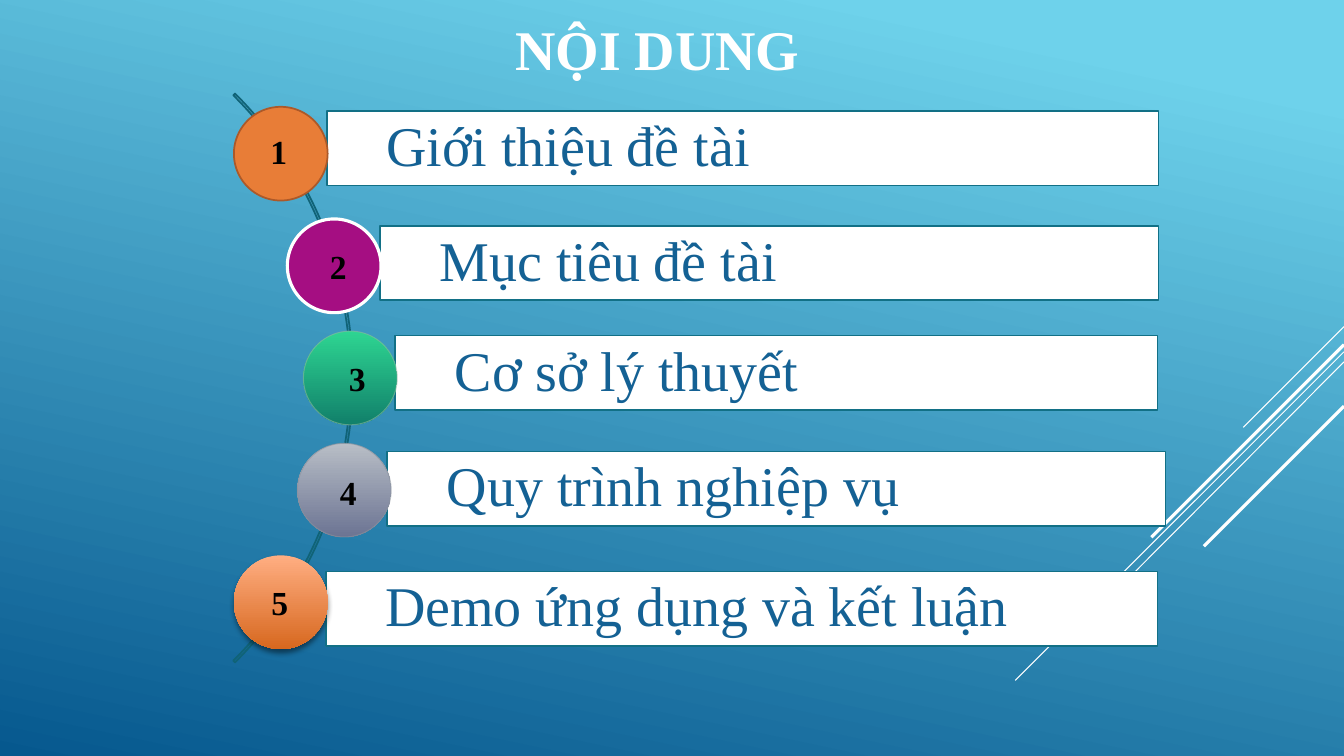
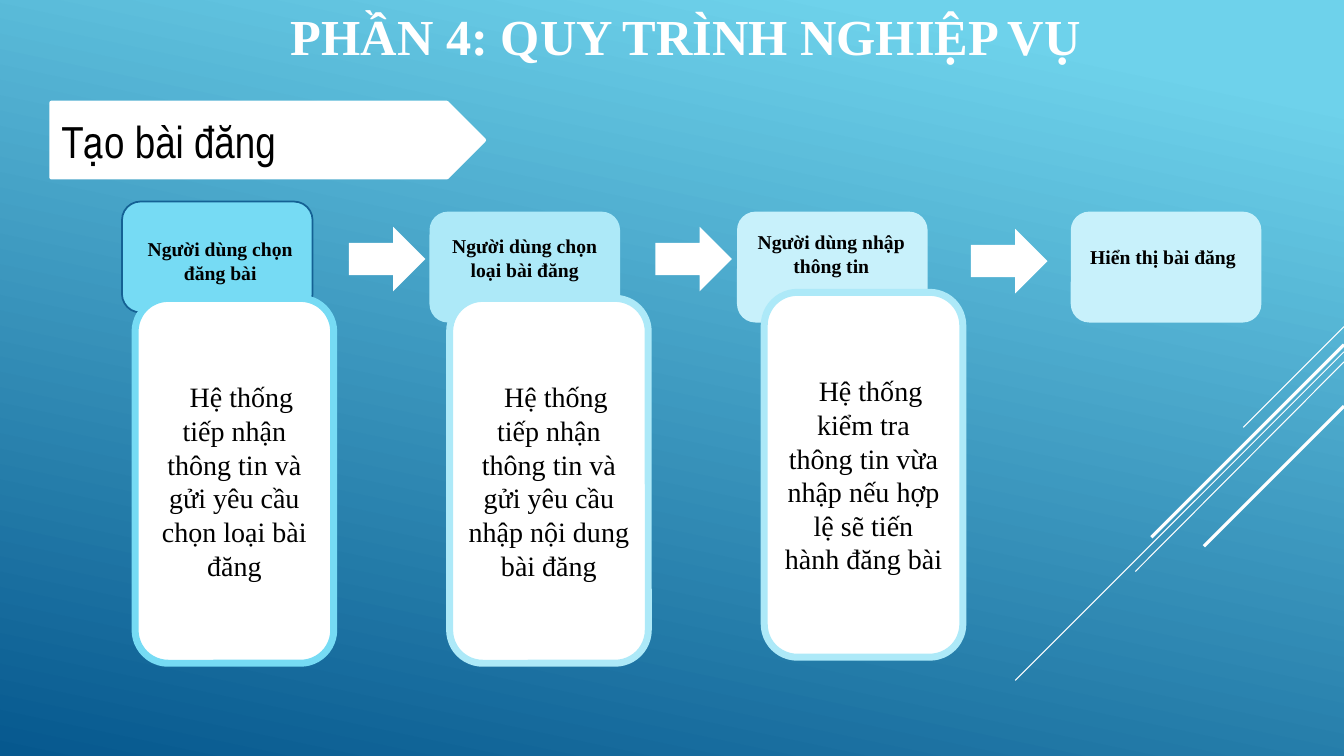
from dataclasses import dataclass

from lxml.etree import SubElement
from pptx import Presentation
from pptx.dml.color import RGBColor
from pptx.enum.shapes import MSO_CONNECTOR, MSO_SHAPE as Preset
from pptx.enum.text import MSO_ANCHOR as Anchor, MSO_AUTO_SIZE, PP_ALIGN as Align
from pptx.oxml.ns import qn
from pptx.util import Inches, Pt


@dataclass(frozen=True)
class Theme:
    white: str = "FFFFFF"
    black: str = "000000"
    blue: str = "146194"
    arc: str = "106377"
    bar_line: str = "127086"
    sky: str = "76DBF4"
    pale_sky: str = "ADE9F8"
    ice: str = "C8F1FB"
    background: tuple = ("6ED2EB", "06588E")
    serif: str = "Times New Roman"
    narrow: str = "Arial Narrow"
    agenda_size: int = 40
    banner_size: int = 32
    number_size: int = 24
    card_size: int = 20
    step_size: int = 14


THEME = Theme()

# Diagonal accent lines: start y on the right edge, end x, end y, width in points
ACCENT_RIGHT = 13.33
ACCENTS = [
    (3.24, 12.33, 4.24, 0.75),
    (3.49, 10.07, 6.75, 0.75),
    (3.59, 11.26, 5.67, 0.75),
    (3.42, 11.42, 5.33, 2.25),
    (4.03, 11.94, 5.42, 2.25),
]

AGENDA_TITLE = "NỘI DUNG"
# text, bar (left, top, right), circle left, fill, line (colour, points, opacity), number nudge
AGENDA = [
    ("Giới thiệu đề tài", (3.24, 1.10, 11.49), 2.32, ("E87D37",),
     ("AC5929", 1.25, 100), (-0.02, -0.03)),
    ("Mục tiêu đề tài", (3.77, 2.24, 11.49), 2.85, ("A50E82",),
     (THEME.white, 2.25, 100), (0.04, 0)),
    ("Cơ sở lý thuyết", (3.92, 3.33, 11.48), 3.01, ("2ED592", "11806A"),
     ("8AB7A1", 0.75, 60), (0.07, 0)),
    ("Quy trình nghiệp vụ", (3.84, 4.48, 11.56), 2.95, ("B8BEC6", "6C7493"),
     ("89919C", 0.75, 60), (0.04, 0.02)),
    ("Demo ứng dụng và kết luận", (3.23, 5.67, 11.48), 2.32, ("FFAE82", "D7681F"),
     None, (-0.01, 0)),
]
FIRST_CIRCLE_TOP, LAST_CIRCLE_TOP = 1.06, 5.51
CIRCLE, BAR_HEIGHT = 0.93, 0.74

PROCESS_TITLE = "PHẦN 4: QUY TRÌNH NGHIỆP VỤ"
BANNER = "Tạo bài đăng"
# text, box left, box top, fill, line, text offset from the top, sideways nudge
STEPS = [
    ("Người dùng chọn đăng bài", 1.21, 2.00, THEME.sky, (THEME.blue, 1.25), 0.35, 0.03),
    ("Người dùng chọn loại bài đăng", 4.26, 2.10, THEME.pale_sky, None, 0.22, 0),
    ("Người dùng nhập thông tin", 7.31, 2.10, THEME.ice, None, 0.18, -0.01),
    ("Hiển thị bài đăng", 10.62, 2.10, THEME.ice, None, 0.33, -0.03),
]
ARROWS = [(3.46, 2.25), (6.50, 2.25), (9.63, 2.27)]
# text, top, outline
CARDS = [
    ("Hệ thống tiếp nhận thông tin và gửi yêu cầu chọn loại bài đăng", 2.96, THEME.sky),
    ("Hệ thống tiếp nhận thông tin và gửi yêu cầu nhập nội dung bài đăng", 2.96,
     THEME.pale_sky),
    ("Hệ thống kiểm tra thông tin vừa nhập nếu hợp lệ sẽ tiến hành đăng bài", 2.90,
     THEME.pale_sky),
]
CARD_LEFT, CARD_PITCH = 1.34, 3.12
ROUND_INSET = 0.05  # text inset caused by the rounded corners of a step box


def rgb(value):
    return RGBColor.from_string(value)


def set_fill(fill, colors, angle=90, first_stop=0):
    """One colour gives a solid fill, two a gradient; angle runs clockwise."""
    if len(colors) == 1:
        fill.solid()
        fill.fore_color.rgb = rgb(colors[0])
        return
    fill.gradient()
    fill.gradient_angle = 360 - angle
    for stop, color, position in zip(fill.gradient_stops, colors, (first_stop, 1)):
        stop.color.rgb = rgb(color)
        stop.position = position


def add_shape(slide, preset, box, colors=(), line=None):
    shape = slide.shapes.add_shape(preset, *(Inches(value) for value in box))
    shape.shadow.inherit = False
    if colors:
        set_fill(shape.fill, colors)
    else:
        shape.fill.background()
    if line:
        color, width, *opacity = line
        shape.line.color.rgb = rgb(color)
        shape.line.width = Pt(width)
        if opacity and opacity[0] < 100:
            color_element = shape.line._get_or_add_ln().find(".//" + qn("a:srgbClr"))
            SubElement(color_element, qn("a:alpha"), val=str(opacity[0] * 1000))
    else:
        shape.line.fill.background()
    return shape


def set_margins(frame, left, top, right, bottom):
    frame.margin_left, frame.margin_top = Inches(left), Inches(top)
    frame.margin_right, frame.margin_bottom = Inches(right), Inches(bottom)


def write(shape, text, size, color=THEME.black, font=THEME.serif, bold=False,
          align=Align.CENTER, anchor=Anchor.MIDDLE):
    frame = shape.text_frame
    frame.word_wrap = True
    frame.vertical_anchor = anchor
    paragraph = frame.paragraphs[0]
    paragraph.alignment = align
    run = paragraph.add_run()
    run.text = text
    run.font.name, run.font.size, run.font.bold = font, Pt(size), bold
    run.font.color.rgb = rgb(color)
    return paragraph


def add_drop_shadow(shape):
    effects = shape._element.spPr.find(qn("a:effectLst"))
    shadow = SubElement(effects, qn("a:outerShdw"), blurRad=str(Pt(4)), dist=str(Pt(3)),
                        dir="5400000", rotWithShape="0")
    color = SubElement(shadow, qn("a:srgbClr"), val=THEME.black)
    SubElement(color, qn("a:alpha"), val="46000")


def add_slide(presentation, title, box, size):
    """Title-only slide with the shared title style and accent lines."""
    slide = presentation.slides.add_slide(presentation.slide_layouts.get_by_name("Title Only"))
    for start_y, end_x, end_y, width in ACCENTS:
        ends = (ACCENT_RIGHT, start_y, end_x, end_y)
        line = slide.shapes.add_connector(MSO_CONNECTOR.STRAIGHT, *map(Inches, ends))
        line.line.color.rgb = rgb(THEME.white)
        line.line.width = Pt(width)
        SubElement(line._element.spPr, qn("a:effectLst"))
    placeholder = slide.shapes.title
    placeholder.left, placeholder.top, placeholder.width, placeholder.height = map(Inches, box)
    placeholder.text_frame.auto_size = MSO_AUTO_SIZE.NONE
    write(placeholder, title, size, THEME.white, bold=True, anchor=Anchor.TOP)
    return slide


def build_agenda(presentation):
    slide = add_slide(presentation, AGENDA_TITLE, (4.61, 0.09, 3.82, 0.77), 40)
    arc = add_shape(slide, Preset.BLOCK_ARC, (-4.48, -0.24, 7.98, 7.98),
                    line=(THEME.arc, 1.25))
    for index, value in enumerate((189, 27, 0.003)):
        arc.adjustments[index] = value

    pitch = (LAST_CIRCLE_TOP - FIRST_CIRCLE_TOP) / (len(AGENDA) - 1)
    for index, (text, bar_box, circle_left, colors, line, nudge) in enumerate(AGENDA):
        left, top, right = bar_box
        bar = add_shape(slide, Preset.RECTANGLE, (left, top, right - left, BAR_HEIGHT),
                        (THEME.white,), (THEME.bar_line, 1.25))
        set_margins(bar.text_frame, 0.59, 0.11, 0.11, 0.11)
        paragraph = write(bar, text, THEME.agenda_size, THEME.blue, align=Align.LEFT)
        paragraph.line_spacing = 0.9

        circle_top = FIRST_CIRCLE_TOP + index * pitch
        circle = add_shape(slide, Preset.OVAL, (circle_left, circle_top, CIRCLE, CIRCLE),
                           colors, line)
        if line is None:
            add_drop_shadow(circle)
        across, down = nudge
        set_margins(circle.text_frame, max(0, 2 * across), max(0, 2 * down),
                    max(0, -2 * across), max(0, -2 * down))
        write(circle, str(index + 1), THEME.number_size, bold=True)


def build_process(presentation):
    slide = add_slide(presentation, PROCESS_TITLE, (2.31, 0, 8.99, 0.71), 36)
    banner = add_shape(slide, Preset.PENTAGON, (0.51, 1.02, 4.29, 0.74),
                       (THEME.white,), (THEME.white, 3))
    write(banner, BANNER, THEME.banner_size, font=THEME.narrow, align=Align.LEFT)

    for text, left, top, color, line, offset, nudge in STEPS:
        step = add_shape(slide, Preset.ROUNDED_RECTANGLE, (left, top, 1.89, 1.1),
                         (color,), line)
        set_margins(step.text_frame, 0.1 + nudge, offset - ROUND_INSET, 0.1 - nudge, 0)
        write(step, text, THEME.step_size, bold=True, anchor=Anchor.TOP)

    for left, top in ARROWS:
        add_shape(slide, Preset.RIGHT_ARROW, (left, top, 0.76, 0.64), (THEME.white,))

    for index, (text, top, outline) in enumerate(CARDS):
        left = CARD_LEFT + index * CARD_PITCH
        card = add_shape(slide, Preset.ROUNDED_RECTANGLE, (left, top, 1.97, 3.62),
                         (THEME.white,), (outline, 5))
        set_margins(card.text_frame, 0.09, 0.05, 0.09, 0.05)
        paragraph = write(card, text, THEME.card_size)
        paragraph._p.get_or_add_pPr().set("indent", str(Inches(0.14)))


def main():
    presentation = Presentation()
    presentation.slide_width, presentation.slide_height = Inches(13.33), Inches(7.5)
    set_fill(presentation.slide_master.background.fill, THEME.background,
             angle=102, first_stop=0.1)
    build_agenda(presentation)
    build_process(presentation)
    presentation.save("out.pptx")


if __name__ == "__main__":
    main()
